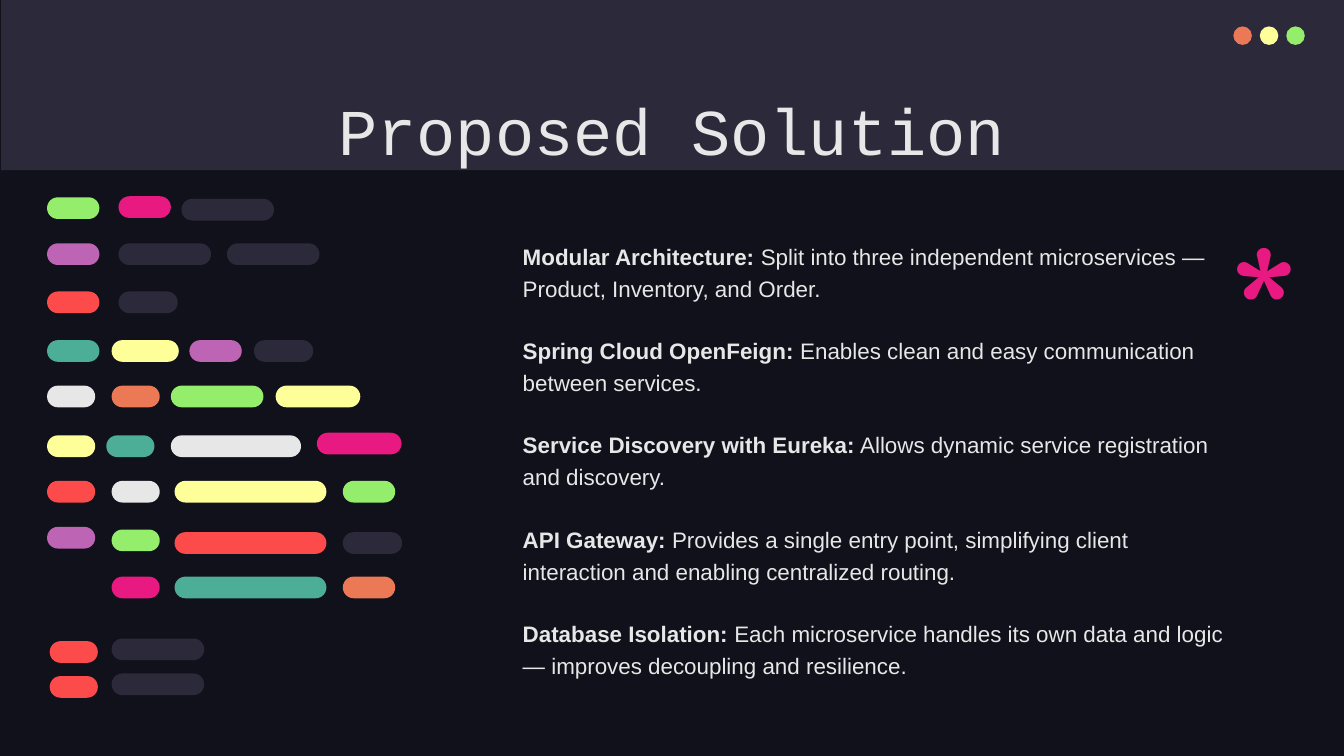
from pptx import Presentation
from pptx.dml.color import RGBColor
from pptx.enum.shapes import MSO_SHAPE
from pptx.enum.text import MSO_ANCHOR, PP_ALIGN
from pptx.util import Cm, Pt

NIGHT, SLATE, WHITE = "10111A", "2C293A", "E7E7E7"
GREEN, PINK, PURPLE, RED = "94EE6B", "E81A81", "BD64B5", "FD4A4A"
TEAL, YELLOW, ORANGE = "4CAE97", "FFFF99", "EC7955"

# Bar widths in cm
XS, S, M, L, XL, XXL = 0.91, 0.99, 1.12, 1.6, 1.75, 2.87

# Top of each line of code, then left, width and colour of its bars, in cm
CODE_LINES = [
    (3.73, [(0.89, S, GREEN)]),
    (3.71, [(2.24, S, PINK)]),
    (3.76, [(3.43, XL, SLATE)]),
    (4.6, [(0.89, S, PURPLE), (2.24, XL, SLATE), (4.29, XL, SLATE)]),
    (5.51, [(0.89, S, RED), (2.24, M, SLATE)]),
    (6.43, [(0.89, S, TEAL), (2.11, 1.27, YELLOW), (3.58, S, PURPLE), (4.8, M, SLATE)]),
    (7.29, [(0.89, XS, WHITE), (2.11, XS, ORANGE), (3.23, XL, GREEN), (5.21, L, YELLOW)]),
    (8.23, [(0.89, XS, YELLOW), (2.01, XS, TEAL), (3.23, 2.46, WHITE)]),
    (8.18, [(5.99, L, PINK)]),
    (9.09, [(0.89, XS, RED), (2.11, XS, WHITE), (3.3, XXL, YELLOW), (6.48, S, GREEN)]),
    (9.96, [(0.89, XS, PURPLE)]),
    (10.01, [(2.11, XS, GREEN)]),
    (10.06, [(3.3, XXL, RED), (6.48, M, SLATE)]),
    (10.9, [(2.11, XS, PINK), (3.3, XXL, TEAL), (6.48, S, ORANGE)]),
    (12.12, [(0.94, XS, RED)]),
    (12.07, [(2.11, XL, SLATE)]),
    (12.78, [(0.94, XS, RED)]),
    (12.73, [(2.11, XL, SLATE)]),
]

POINTS = [
    ("Modular Architecture:",
     " Split into three independent microservices — Product, Inventory, and Order."),
    ("Spring Cloud OpenFeign:",
     " Enables clean and easy communication between services."),
    ("Service Discovery with Eureka:",
     " Allows dynamic service registration and discovery."),
    ("API Gateway:",
     " Provides a single entry point, simplifying client interaction"
     " and enabling centralized routing."),
    ("Database Isolation:",
     " Each microservice handles its own data and logic"
     " — improves decoupling and resilience."),
]


def color(value):
    return RGBColor.from_string(value)


def add_filled(page, kind, left, top, width, height, fill):
    shape = page.shapes.add_shape(kind, Cm(left), Cm(top), Cm(width), Cm(height))
    shape.shadow.inherit = False
    shape.fill.solid()
    shape.fill.fore_color.rgb = color(fill)
    shape.line.fill.background()
    return shape


def add_text(page, left, top, width, height, paragraphs, font, size, fill,
             align=PP_ALIGN.LEFT, spacing=1.0, after=0):
    """Add a text box; each paragraph is a list of (text, bold) runs."""
    box = page.shapes.add_textbox(Cm(left), Cm(top), Cm(width), Cm(height))
    frame = box.text_frame
    frame.word_wrap = True
    frame.vertical_anchor = MSO_ANCHOR.TOP
    frame.margin_left = frame.margin_right = Cm(0.25)
    frame.margin_top = frame.margin_bottom = Cm(0.25)
    for index, runs in enumerate(paragraphs):
        para = frame.add_paragraph() if index else frame.paragraphs[0]
        para.alignment = align
        para.line_spacing = spacing
        para.space_after = Pt(after)
        for text, bold in runs:
            span = para.add_run()
            span.text = text
            span.font.name = font
            span.font.size = Pt(size)
            span.font.bold = bold
            span.font.color.rgb = color(fill)


def add_window_bar(page):
    add_filled(page, MSO_SHAPE.RECTANGLE, 0.02, 0, 25.4, 3.22, SLATE)
    for index, fill in enumerate((ORANGE, YELLOW, GREEN)):
        add_filled(page, MSO_SHAPE.OVAL, 23.31 + index * 0.5, 0.5, 0.35, 0.35, fill)


def add_code_bars(page):
    for top, bars in CODE_LINES:
        for left, width, fill in bars:
            bar = add_filled(page, MSO_SHAPE.ROUNDED_RECTANGLE, left, top, width, 0.41, fill)
            bar.adjustments[0] = 0.5


def main():
    deck = Presentation()
    deck.slide_width, deck.slide_height = Cm(25.4), Cm(14.29)
    page = deck.slides.add_slide(deck.slide_layouts[6])
    page.background.fill.solid()
    page.background.fill.fore_color.rgb = color(NIGHT)

    add_window_bar(page)
    add_text(page, 2, 1.24, 21.4, 1.6, [[("Proposed Solution", False)]],
             "Courier New", 35, WHITE, align=PP_ALIGN.CENTER, spacing=1.15)
    points = [[(name, True), (detail, False)] for name, detail in POINTS]
    add_text(page, 9.63, 4.24, 13.79, 8.53, points, "Arial", 12, WHITE,
             spacing=1.2, after=16)
    add_code_bars(page)
    add_text(page, 22.99, 3.71, 1.45, 2.21, [[("*", False)]], "Comfortaa", 96, PINK)

    deck.save("out.pptx")


if __name__ == "__main__":
    main()
